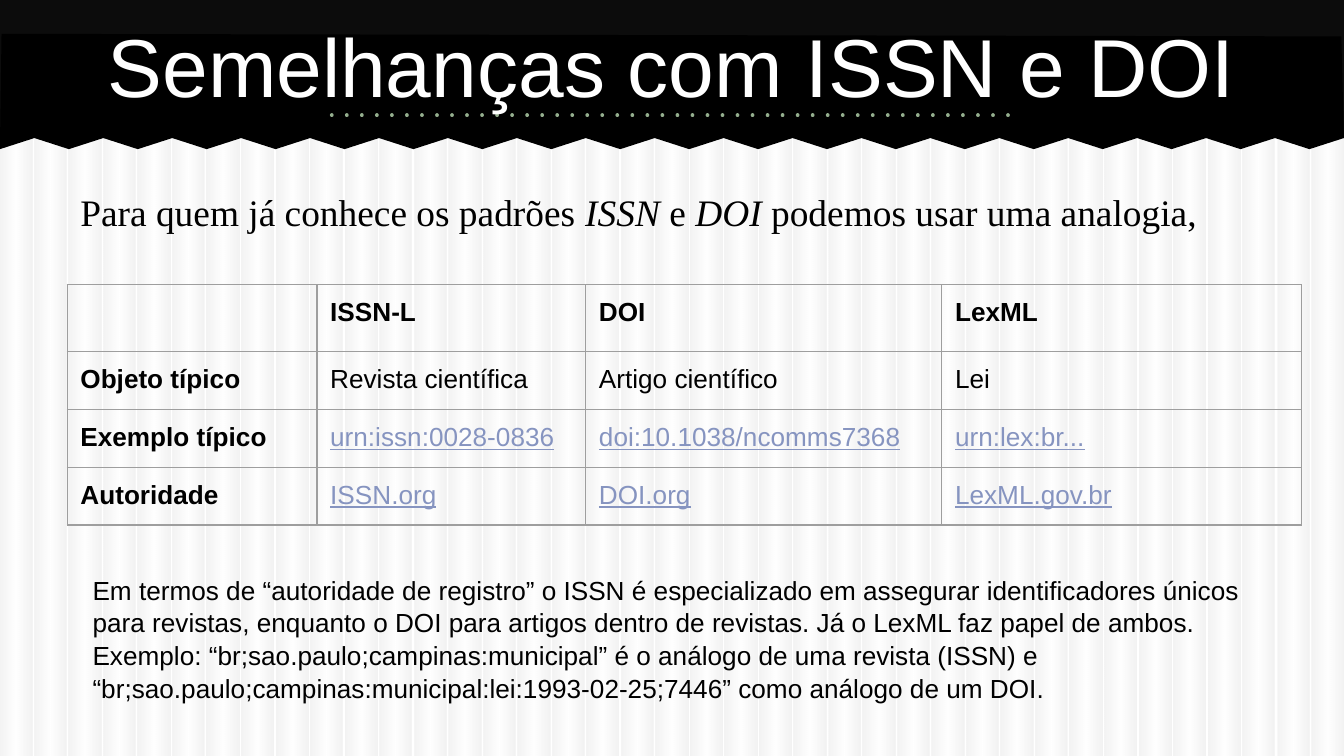
from lxml import etree
from pptx import Presentation
from pptx.dml.color import RGBColor
from pptx.enum import shapes, text
from pptx.oxml import ns
from pptx.util import Cm, Pt

WIDTH, HEIGHT = 25.4, 14.29
INSET = Cm(0.25)
BLACK, WHITE, LINK = "000000", "FFFFFF", "8694C0"

HEADER = ["", "ISSN-L", "DOI", "LexML"]
ROWS = [
    HEADER,
    ["Objeto típico", "Revista científica", "Artigo científico", "Lei"],
    ["Exemplo típico", "urn:issn:0028-0836", "doi:10.1038/ncomms7368", "urn:lex:br..."],
    ["Autoridade", "ISSN.org", "DOI.org", "LexML.gov.br"],
]
LINK_ROWS = (2, 3)
COLUMN_WIDTHS = [4.72, 5.08, 6.73, 6.8]
ROW_HEIGHTS = [1.22, 1.06, 1.06, 1.06]

INTRO = [
    ("Para quem já conhece os padrões ", False),
    ("ISSN", True),
    (" e ", False),
    ("DOI", True),
    (" podemos usar uma analogia,", False),
]
CLOSING = (
    "Em termos de “autoridade de registro” o ISSN é especializado em assegurar "
    "identificadores únicos para revistas, enquanto o DOI para artigos dentro de "
    "revistas. Já o LexML faz papel de ambos. Exemplo: "
    "“br;sao.paulo;campinas:municipal” é o análogo de uma revista (ISSN) e "
    "“br;sao.paulo;campinas:municipal:lei:1993-02-25;7446” como análogo de um DOI."
)


def color(value):
    return RGBColor.from_string(value)


def add_xml(parent, tag, **attributes):
    return etree.SubElement(parent, ns.qn(tag), attributes)


def set_font(para, name, size, value):
    para.font.name = name
    para.font.size = Pt(size)
    para.font.color.rgb = color(value)


def paint(shape, value):
    shape.shadow.inherit = False
    shape.fill.solid()
    shape.fill.fore_color.rgb = color(value)
    shape.line.fill.background()


def add_rectangle(page, left, top, width, height):
    return page.shapes.add_shape(
        shapes.MSO_SHAPE.RECTANGLE, Cm(left), Cm(top), Cm(width), Cm(height))


def add_stripe(page, left):
    stripe = add_rectangle(page, left, 0.03, 0.61, HEIGHT)
    stripe.shadow.inherit = False
    stripe.line.fill.background()
    stripe.fill.gradient()
    stripe.fill.gradient_angle = 0
    stops = stripe.fill._fill._gradFill.find(ns.qn("a:gsLst"))
    for stop in list(stops):
        stops.remove(stop)
    for position, value in ((0, "BFBFBF"), (50, WHITE), (97, "BFBFBF"), (100, "BFBFBF")):
        stop = add_xml(stops, "a:gs", pos=str(position * 1000))
        tint = add_xml(stop, "a:srgbClr", val=value)
        add_xml(tint, "a:alpha", val="19000")


def add_banner(page):
    paint(add_rectangle(page, 0, 0, WIDTH, 2.59), "0C0C0C")
    # Torn edge: evenly spaced teeth, from right to left
    teeth = 39
    edge = [(WIDTH * i / teeth, 2.61 if i % 2 else 2.82) for i in range(teeth, -1, -1)]
    builder = page.shapes.build_freeform(Cm(0.03), Cm(0.64))
    builder.add_line_segments(
        [(Cm(x), Cm(y)) for x, y in [(25.35, 0.69)] + edge], close=True)
    paint(builder.convert_to_shape(), BLACK)


def add_dotted_line(page, left, right, top):
    line = page.shapes.add_connector(
        shapes.MSO_CONNECTOR.STRAIGHT, Cm(left), Cm(top), Cm(right), Cm(top))
    line.line.color.rgb = color("94AE8E")
    line.line.width = Pt(2)
    outline = line.line._get_or_add_ln()
    outline.set("cap", "rnd")
    add_xml(outline, "a:prstDash", val="dot")
    add_xml(line._element.spPr, "a:effectLst")


def add_text(page, left, top, width, height, spans, font, size, value):
    box = page.shapes.add_textbox(Cm(left), Cm(top), Cm(width), Cm(height))
    frame = box.text_frame
    frame.word_wrap = True
    frame.margin_left = frame.margin_right = INSET
    frame.margin_top = frame.margin_bottom = INSET
    para = frame.paragraphs[0]
    set_font(para, font, size, value)
    for content, italic in spans:
        span = para.add_run()
        span.text = content
        if italic:
            span.font.italic = True
    return box


def style_cell(cell):
    cell.margin_left = cell.margin_right = INSET
    cell.margin_top = cell.margin_bottom = INSET
    properties = cell._tc.get_or_add_tcPr()
    for side in ("a:lnL", "a:lnR", "a:lnT", "a:lnB"):
        border = add_xml(properties, side, w=str(Pt(0.75)))
        add_xml(add_xml(border, "a:solidFill"), "a:srgbClr", val="9E9E9E")
    cell.fill.background()


def add_comparison(page):
    frame = page.shapes.add_table(
        len(ROWS), len(HEADER), Cm(1.27), Cm(5.38),
        Cm(sum(COLUMN_WIDTHS)), Cm(sum(ROW_HEIGHTS)))
    table = frame.table
    table.first_row = table.horz_banding = False
    for column, width in zip(table.columns, COLUMN_WIDTHS):
        column.width = Cm(width)
    for row, height in zip(table.rows, ROW_HEIGHTS):
        row.height = Cm(height)
    for i, entries in enumerate(ROWS):
        for j, content in enumerate(entries):
            cell = table.cell(i, j)
            style_cell(cell)
            if not content:
                continue
            cell.text = content
            para = cell.text_frame.paragraphs[0]
            is_link = i in LINK_ROWS and j > 0
            set_font(para, "Arial", 14, LINK if is_link else BLACK)
            para.font.bold = i == 0 or j == 0
            para.font.underline = is_link


def main():
    deck = Presentation()
    deck.slide_width, deck.slide_height = Cm(WIDTH), Cm(HEIGHT)
    page = deck.slides.add_slide(deck.slide_layouts[6])

    # Striped backdrop
    stripes = 39
    for i in range(stripes):
        add_stripe(page, 24.79 * i / (stripes - 1))

    # Banner
    add_banner(page)
    add_dotted_line(page, 6.27, 19.05, 2.18)

    # Introduction and title
    add_text(page, 1.27, 3.33, 22.86, 1.88, INTRO, "Times New Roman", 20, BLACK)
    title = add_text(page, 1.27, 0.03, 22.86, 2.39,
                     [("Semelhanças com ISSN e DOI", False)], "Arial", 44, WHITE)
    title.text_frame.vertical_anchor = text.MSO_ANCHOR.MIDDLE
    title.text_frame.paragraphs[0].alignment = text.PP_ALIGN.CENTER

    # Comparison and closing remark
    add_comparison(page)
    closing = add_text(page, 1.5, 10.57, 23.11, 3.07,
                       [(CLOSING, False)], "Arial", 14, BLACK)
    closing.text_frame.paragraphs[0].line_spacing = 1.05

    deck.save("out.pptx")


if __name__ == "__main__":
    main()
